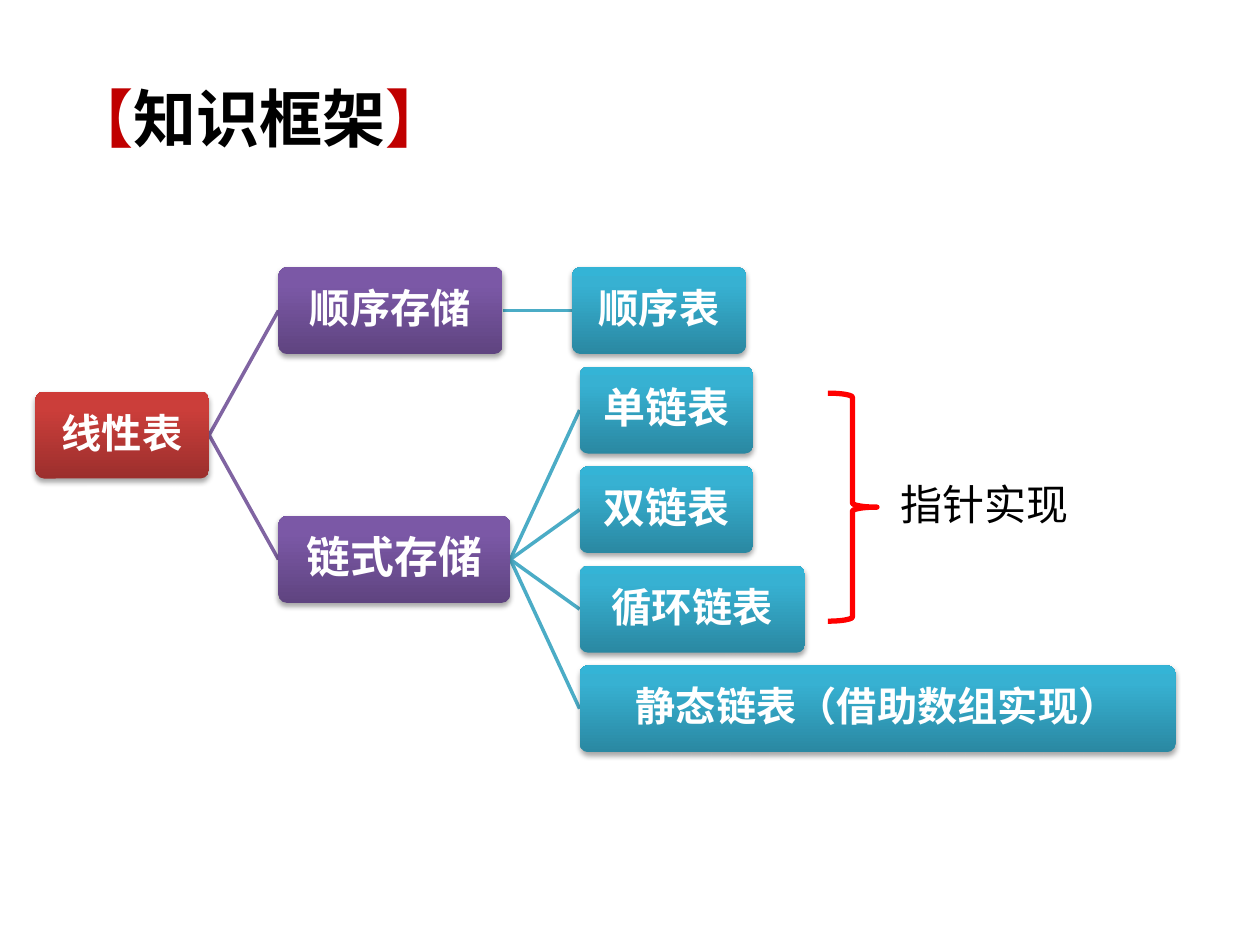
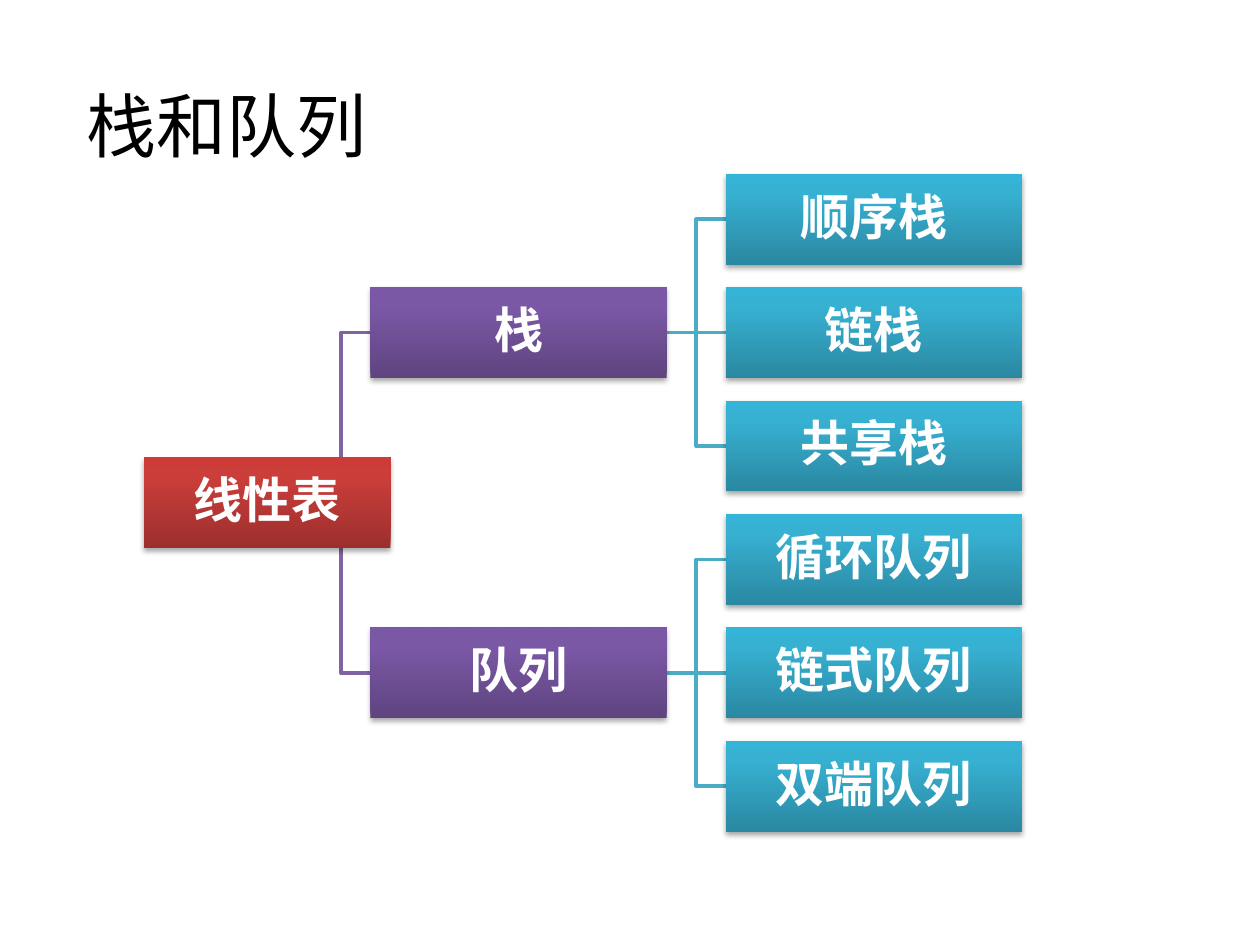
"""Build two slides that show data structures as left-to-right trees."""
from dataclasses import dataclass
from typing import Iterator

from lxml.etree import SubElement
from pptx import Presentation
from pptx.dml.color import RGBColor
from pptx.enum.shapes import MSO_CONNECTOR as Connector, MSO_SHAPE as Preset
from pptx.enum.text import MSO_ANCHOR as Anchor, MSO_AUTO_SIZE as AutoSize, PP_ALIGN as Align
from pptx.oxml.ns import qn
from pptx.util import Inches, Pt


@dataclass(frozen=True)
class Theme:
    """Colours, fonts and line weights of the deck."""
    black: str = "000000"
    white: str = "FFFFFF"
    bracket: str = "C00000"
    brace: str = "FF0000"
    text_font: str = "Noto Sans CJK SC"
    node_font: str = "Calibri"
    bracket_title_size: int = 36
    title_size: int = 40
    note_size: int = 24
    link_weight: int = 2
    brace_weight: int = 3
    gradients: tuple = (("9C2F2D", "CB3E3A", "CE3B37"),
                        ("5F4480", "7B58A6", "7C57A8"),
                        ("2A88A2", "37B1D2", "34B4D6"))
    links: tuple = ("8064A2", "4BACC6")
    stops: tuple = (0, 80, 100)


THEME = Theme()


@dataclass(frozen=True)
class Area:
    """A rectangle in inches."""
    left: float
    top: float
    width: float
    height: float

    def lengths(self) -> tuple:
        """Return the four values as slide lengths."""
        return tuple(map(Inches, (self.left, self.top, self.width, self.height)))


@dataclass(frozen=True)
class Node:
    """A labelled box of a tree with its children."""
    label: str
    left: float
    width: float
    size: int
    children: tuple = ()

    def leaves(self) -> int:
        """Count the rows that the node takes."""
        return sum(child.leaves() for child in self.children) or 1

    def row(self, first: int) -> float:
        """Return the row of the node, midway among its children."""
        rows = [child.row(start) for child, start in self.placed(first)]
        return sum(rows) / len(rows) if rows else first

    def placed(self, first: int) -> Iterator[tuple]:
        """Yield each child with its first row."""
        for child in self.children:
            yield child, first
            first += child.leaves()


@dataclass(frozen=True)
class TreeStyle:
    """Row grid, box outline and link form of a tree."""
    top: float
    pitch: float
    height: float
    stem: float
    preset: Preset
    link: Connector

    def row_top(self, row: float) -> float:
        """Return the top of a row."""
        return self.top + row * self.pitch

    def row_middle(self, row: float) -> float:
        """Return the middle of a box in a row."""
        return self.row_top(row) + self.height / 2


def format_span(span, size: int, color: str, font: str, bold: bool = False) -> None:
    """Set the font of a run for Latin and East Asian text."""
    span.font.size = Pt(size)
    span.font.bold = bold
    span.font.color.rgb = RGBColor.from_string(color)
    span.font.name = font
    SubElement(span.font._element, qn("a:ea"), typeface=THEME.text_font)


def set_frame(frame, left: float = 0.1, top: float = 0.05, right: float = 0.1) -> None:
    """Centre the text vertically and set the insets of a frame."""
    frame.word_wrap = True
    frame.auto_size = AutoSize.NONE
    frame.vertical_anchor = Anchor.MIDDLE
    frame.margin_left, frame.margin_right = Inches(left), Inches(right)
    frame.margin_top = frame.margin_bottom = Inches(top)


def place_title(slide, area: Area, parts: tuple, size: int, bold: bool = False) -> None:
    """Move the title placeholder and fill it with coloured parts."""
    title = slide.shapes.title
    title.left, title.top, title.width, title.height = area.lengths()
    set_frame(title.text_frame)
    para = title.text_frame.paragraphs[0]
    para.alignment = Align.LEFT
    for text, color in parts:
        span = para.add_run()
        span.text = text
        format_span(span, size, color, THEME.text_font, bold)


def add_shadow(shape) -> None:
    """Give a shape a soft shadow below it."""
    shape.shadow.inherit = False
    effects = shape._element.spPr.find(qn("a:effectLst"))
    shadow = SubElement(effects, qn("a:outerShdw"), blurRad=str(Pt(3.1)), dist=str(Pt(1.8)),
                        dir="5400000", rotWithShape="0")
    color = SubElement(shadow, qn("a:srgbClr"), val=THEME.black)
    SubElement(color, qn("a:alpha"), val="35000")


def fill_gradient(shape, colors: tuple) -> None:
    """Fill a shape with a gradient that starts at its bottom."""
    shape.fill.gradient()
    shape.fill.gradient_angle = 90
    stops = shape._element.spPr.find(qn("a:gradFill")).find(qn("a:gsLst"))
    for stop in list(stops):
        stops.remove(stop)
    for position, color in zip(THEME.stops, colors):
        stop = SubElement(stops, qn("a:gs"), pos=str(position * 1000))
        SubElement(stop, qn("a:srgbClr"), val=color)


def draw_link(slide, style: TreeStyle, child: Node, start_row: float, end_row: float,
              depth: int) -> None:
    """Draw a line from a parent's row to a child."""
    form = Connector.STRAIGHT if start_row == end_row else style.link
    link = slide.shapes.add_connector(
        form, Inches(child.left - style.stem), Inches(style.row_middle(start_row)),
        Inches(child.left), Inches(style.row_middle(end_row)))
    link.line.color.rgb = RGBColor.from_string(THEME.links[depth])
    link.line.width = Pt(THEME.link_weight)
    SubElement(link._element.spPr, qn("a:effectLst"))


def draw_links(slide, style: TreeStyle, node: Node, first: int = 0, depth: int = 0) -> None:
    """Draw all lines below a node."""
    for child, start in node.placed(first):
        draw_link(slide, style, child, node.row(first), child.row(start), depth)
        draw_links(slide, style, child, start, depth + 1)


def draw_boxes(slide, style: TreeStyle, node: Node, first: int = 0, depth: int = 0) -> None:
    """Draw a node and all boxes below it."""
    area = Area(node.left, style.row_top(node.row(first)), node.width, style.height)
    box = slide.shapes.add_shape(style.preset, *area.lengths())
    if style.preset == Preset.ROUNDED_RECTANGLE:
        box.adjustments[0] = 0.1
    fill_gradient(box, THEME.gradients[depth])
    box.line.fill.background()
    add_shadow(box)
    set_frame(box.text_frame, 0.02, 0.02, 0.02)
    box.text_frame.text = node.label
    para = box.text_frame.paragraphs[0]
    para.alignment = Align.CENTER
    para.line_spacing = 0.9
    format_span(para.runs[0], node.size, THEME.white, THEME.node_font, bold=True)
    for child, start in node.placed(first):
        draw_boxes(slide, style, child, start, depth + 1)


def draw_tree(slide, style: TreeStyle, root: Node) -> None:
    """Draw a tree with its boxes in front of its lines."""
    draw_links(slide, style, root)
    draw_boxes(slide, style, root)


def add_brace_note(slide, brace_area: Area, note_area: Area, text: str) -> None:
    """Draw a right brace and the note beside it."""
    brace = slide.shapes.add_shape(Preset.RIGHT_BRACE, *brace_area.lengths())
    brace.shadow.inherit = False
    brace.fill.background()
    brace.line.color.rgb = RGBColor.from_string(THEME.brace)
    brace.line.width = Pt(THEME.brace_weight)
    note = slide.shapes.add_textbox(*note_area.lengths())
    set_frame(note.text_frame)
    note.text_frame.text = text
    format_span(note.text_frame.paragraphs[0].runs[0], THEME.note_size, THEME.black,
                THEME.text_font)


def build_list_slide(slide) -> None:
    """Show how linear lists are stored."""
    place_title(slide, Area(0.46, 0.58, 3.38, 0.71),
                (("【", THEME.bracket), ("知识框架", THEME.black), ("】", THEME.bracket)),
                THEME.bracket_title_size, bold=True)
    style = TreeStyle(2.12, 0.79, 0.69, 0.55, Preset.ROUNDED_RECTANGLE, Connector.STRAIGHT)
    linked = (Node("单链表", 4.6, 1.38, 24), Node("双链表", 4.6, 1.38, 24),
              Node("循环链表", 4.6, 1.79, 23), Node("静态链表（借助数组实现）", 4.6, 4.73, 23))
    draw_tree(slide, style, Node("线性表", 0.28, 1.38, 23, (
        Node("顺序存储", 2.21, 1.78, 23, (Node("顺序表", 4.54, 1.38, 23),)),
        Node("链式存储", 2.21, 1.84, 25, linked))))
    add_brace_note(slide, Area(6.57, 3.12, 0.39, 1.81), Area(7.05, 3.75, 1.57, 0.5), "指针实现")


def build_stack_slide(slide) -> None:
    """Show the kinds of stacks and queues."""
    place_title(slide, Area(0.59, 0.6, 3.7, 0.77), (("栈和队列", THEME.black),),
                THEME.title_size)
    style = TreeStyle(1.38, 0.9, 0.72, 0.47, Preset.RECTANGLE, Connector.ELBOW)
    kinds = {"栈": ("顺序栈", "链栈", "共享栈"), "队列": ("循环队列", "链式队列", "双端队列")}
    branches = tuple(
        Node(kind, 2.94, 2.35, 28, tuple(Node(label, 5.76, 2.35, 28) for label in labels))
        for kind, labels in kinds.items())
    draw_tree(slide, style, Node("线性表", 1.14, 1.96, 28, branches))


def main() -> None:
    """Build and save the deck."""
    deck = Presentation()
    deck.slide_width, deck.slide_height = Inches(10), Inches(7.5)
    title_only = deck.slide_layouts[5]
    for build in (build_list_slide, build_stack_slide):
        build(deck.slides.add_slide(title_only))
    deck.save("out.pptx")


if __name__ == "__main__":
    main()
